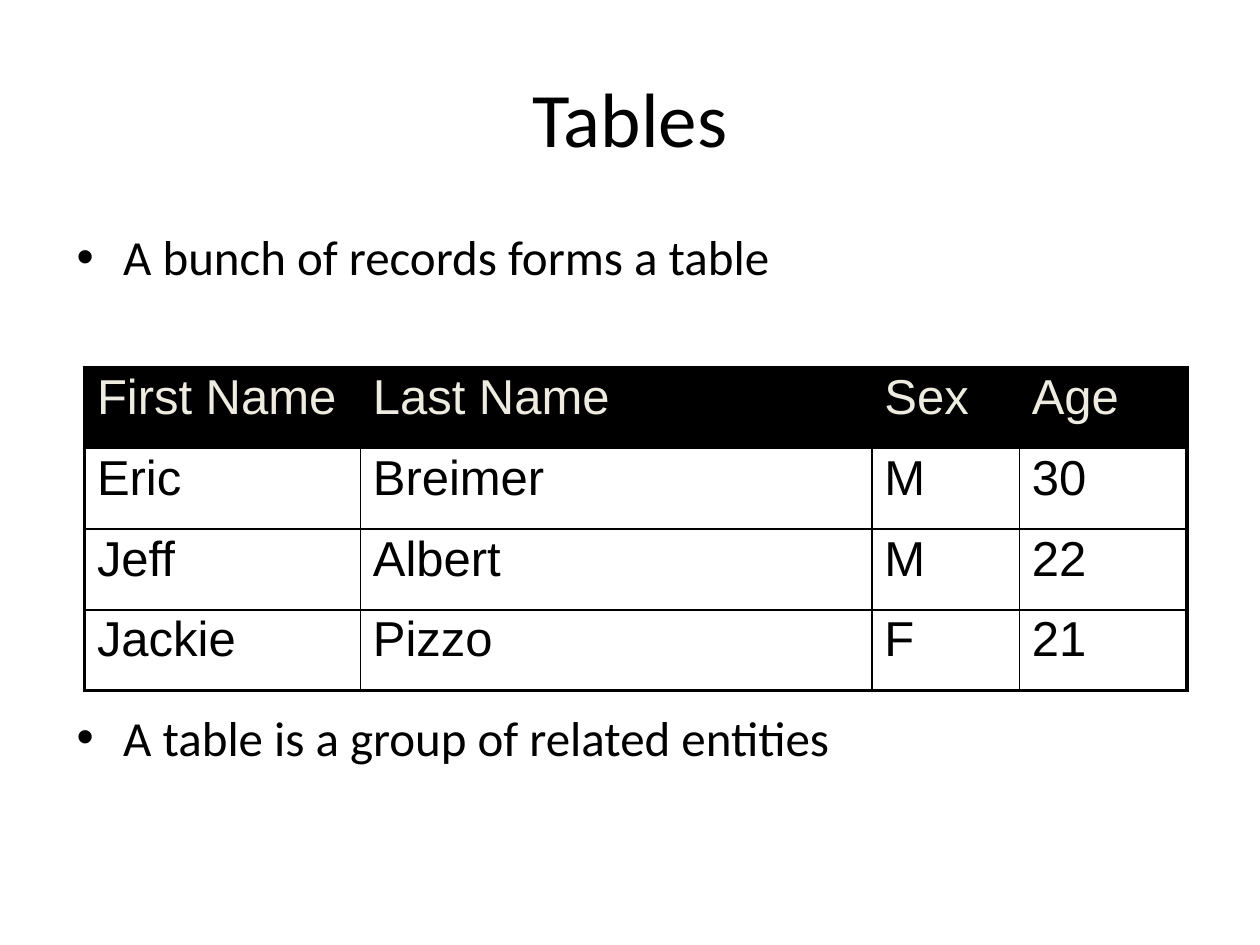
import pptx
import pptx.dml.color
import pptx.enum.text
import pptx.oxml
import pptx.oxml.ns
import pptx.util
from pptx.util import Inches, Pt

BLACK = pptx.dml.color.RGBColor(0x00, 0x00, 0x00)
CREAM = pptx.dml.color.RGBColor(0xEE, 0xEC, 0xE1)
THIN, THICK = Pt(0.96), Pt(2.21)
NAMESPACE = pptx.oxml.ns.nsdecls("a")


def style_text(para, font_name, size, color):
    for span in para.runs:
        span.font.name = font_name
        span.font.size = Pt(size)
        span.font.color.rgb = color


def add_border(cell, side, width):
    """Draw one side of a cell; side is L, R, T or B, added in that order before the fill."""
    cell._tc.get_or_add_tcPr().append(pptx.oxml.parse_xml(
        f'<a:ln{side} {NAMESPACE} w="{width}"><a:solidFill>'
        f'<a:srgbClr val="{BLACK}"/></a:solidFill></a:ln{side}>'))


deck = pptx.Presentation()
deck.slide_width, deck.slide_height = Inches(10), Inches(7.5)
page = deck.slides.add_slide(deck.slide_layouts[6])

# Title
title_box = page.shapes.add_textbox(Inches(0.5), Inches(0.3), Inches(9), Inches(1.25))
title_frame = title_box.text_frame
title_frame.word_wrap = True
title_frame.vertical_anchor = pptx.enum.text.MSO_ANCHOR.MIDDLE
title_frame.text = "Tables"
title = title_frame.paragraphs[0]
title.alignment = pptx.enum.text.PP_ALIGN.CENTER
style_text(title, "Calibri", 44, BLACK)

# Bullets above and below the table
bullet_box = page.shapes.add_textbox(Inches(0.5), Inches(1.75), Inches(9), Inches(4.95))
bullet_frame = bullet_box.text_frame
bullet_frame.word_wrap = True
bullet_frame.text = "A bunch of records forms a table\nA table is a group of related entities"
for para, space_before in zip(bullet_frame.paragraphs, (5.6, 241)):
    para.space_before = Pt(space_before)
    style_text(para, "Calibri", 28, BLACK)
    properties = para._p.get_or_add_pPr()
    properties.set("marL", str(Inches(0.38)))
    properties.set("indent", str(Inches(-0.37)))
    properties.append(pptx.oxml.parse_xml(f'<a:buFont {NAMESPACE} typeface="Arial"/>'))
    properties.append(pptx.oxml.parse_xml(f'<a:buChar {NAMESPACE} char="•"/>'))

# Table of people
records = [
    ("First Name", "Last Name", "Sex", "Age"),
    ("Eric", "Breimer", "M", "30"),
    ("Jeff", "Albert", "M", "22"),
    ("Jackie", "Pizzo", "F", "21"),
]
column_widths = (2.19, 4.06, 1.17, 1.33)
last_row, last_column = len(records) - 1, len(column_widths) - 1
table = page.shapes.add_table(len(records), len(column_widths), Inches(0.67), Inches(2.92),
                              Inches(8.75), Inches(2.56)).table
table.horz_banding = False
for column, width in zip(table.columns, column_widths):
    column.width = Inches(width)

for row_index, record in enumerate(records):
    table.rows[row_index].height = Inches(0.64)
    is_header = row_index == 0
    for column_index, value in enumerate(record):
        cell = table.cell(row_index, column_index)
        cell.text_frame.text = value
        para = cell.text_frame.paragraphs[0]
        para.line_spacing = 0.93
        para.space_before = Pt(5.6)
        style_text(para, "Arial", 28, CREAM if is_header else BLACK)

        outer_sides = {"L": column_index == 0, "R": column_index == last_column,
                       "T": is_header, "B": row_index == last_row}
        for side, is_outer in outer_sides.items():
            add_border(cell, side, THICK if is_outer else THIN)
        if is_header:
            cell.fill.solid()
            cell.fill.fore_color.rgb = BLACK
        else:
            cell.fill.background()

deck.save("out.pptx")
